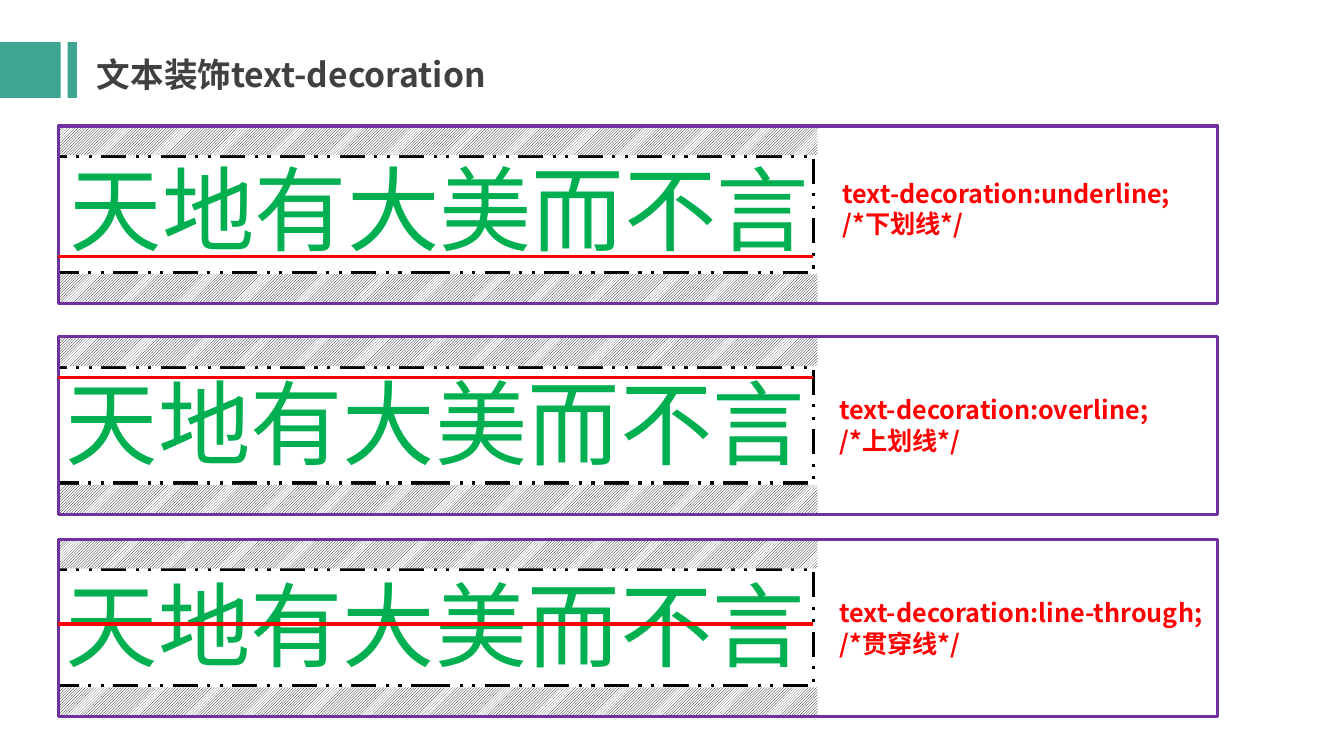
from pptx import Presentation
from pptx.dml.color import RGBColor
from pptx.enum.dml import MSO_LINE as Dash, MSO_PATTERN as Pat
from pptx.enum.shapes import MSO_CONNECTOR as Conn, MSO_SHAPE as Kind
from pptx.enum.text import MSO_ANCHOR as Anchor, MSO_AUTO_SIZE as Auto, PP_ALIGN as Align
from pptx.oxml.ns import qn
from pptx.util import Pt
from lxml.etree import SubElement

FACE = "Noto Sans CJK SC"
TEAL, GRAY, WHITE, BLACK = "3DA591", "404040", "FFFFFF", "000000"
RED, GREEN, PURPLE = "FF0000", "00B050", "7030A0"
EDGE = 2.25
VERSE = "天地有大美而不言"


def ink(code):
    return RGBColor.from_string(code)


def pts(*nums):
    return [Pt(n) for n in nums]


def write(shape, text, size, color, bold=False, align=Align.LEFT,
          anchor=Anchor.TOP, wrap=True, pitch=None):
    """Fill a shape with text, one paragraph per line; pitch is a fixed line height."""
    frame = shape.text_frame
    frame.text = text
    frame.auto_size = Auto.NONE
    frame.word_wrap = wrap
    frame.vertical_anchor = anchor
    for para in frame.paragraphs:
        para.alignment = align
        if pitch:
            para.line_spacing = Pt(pitch)
        for run in para.runs:
            font = run.font
            font.name, font.size, font.bold = FACE, Pt(size), bold
            font.color.rgb = ink(color)
            SubElement(font._element, qn("a:ea"), typeface=FACE)


def rect(slide, box, fill=None, line=None, dash=None, hatch=False):
    shape = slide.shapes.add_shape(Kind.RECTANGLE, *pts(*box))
    shape.shadow.inherit = False
    if hatch:
        shape.fill.patterned()
        shape.fill.pattern = Pat.DARK_UPWARD_DIAGONAL
        shape.fill.fore_color.rgb = ink(BLACK)
        shape.fill.back_color.rgb = ink(WHITE)
    elif fill:
        shape.fill.solid()
        shape.fill.fore_color.rgb = ink(fill)
    else:
        shape.fill.background()
    if line:
        shape.line.color.rgb = ink(line)
        shape.line.width = Pt(EDGE)
        if dash:
            shape.line.dash_style = dash
    else:
        shape.line.fill.background()


def rule(slide, x, y, width):
    line = slide.shapes.add_connector(Conn.STRAIGHT, *pts(x, y, x + width, y))
    line.line.color.rgb = ink(RED)
    line.line.width = Pt(EDGE)
    SubElement(line._element.spPr, qn("a:effectLst"))


def header(slide, box, text):
    x, y, width, height = box
    rect(slide, (x, y, 43.4, height), fill=TEAL)
    rect(slide, (x + 48.4, y, 6.6, height), fill=TEAL)
    title = slide.shapes.title
    title.left, title.top, title.width, title.height = pts(x + 62, y + 4.5, width - 62, 36)
    write(title, text, 24, GRAY, bold=True, anchor=Anchor.MIDDLE)


def panel(slide, box, code, mark, verse, note):
    """Draw one example; mark is the rule's drop, verse and note are text offsets."""
    x, y, width, height = box
    band, inner = 20.9, 539.3
    rect(slide, (x, y + 21.6, inner, 82.8), line=BLACK, dash=Dash.DASH_DOT_DOT)
    for top in (y, y + height - band):
        rect(slide, (x, top, inner + 2.9, band), hatch=True)
    rect(slide, box, line=PURPLE)
    words = slide.shapes.add_textbox(*pts(x + verse[0], y + verse[1], 544.3, 73.4))
    write(words, VERSE, 66, GREEN, align=Align.CENTER, anchor=Anchor.MIDDLE, wrap=False)
    rule(slide, x, y + mark, inner)
    label = slide.shapes.add_textbox(*pts(x + note[0], y + note[1], 291.6, 51))
    write(label, code, 18, RED, bold=True, pitch=22)


def main():
    deck = Presentation()
    deck.slide_width, deck.slide_height = pts(960, 540)
    slide = deck.slides.add_slide(deck.slide_layouts[5])
    header(slide, (0, 30.2, 450, 39.8), "文本装饰text-decoration")
    low, high = (-2.9, 23.8), (550.8, 37.4)
    rows = [
        (90, "text-decoration:underline;\n/*下划线*/", 93.4, (0, 21.6), (553, 33.1)),
        (240.6, "text-decoration:overline;\n/*上划线*/", 29.2, low, high),
        (385.2, "text-decoration:line-through;\n/*贯穿线*/", 60.5, low, high),
    ]
    for top, *rest in rows:
        panel(slide, (41.8, top, 828, 126.7), *rest)
    deck.save("out.pptx")


if __name__ == "__main__":
    main()
